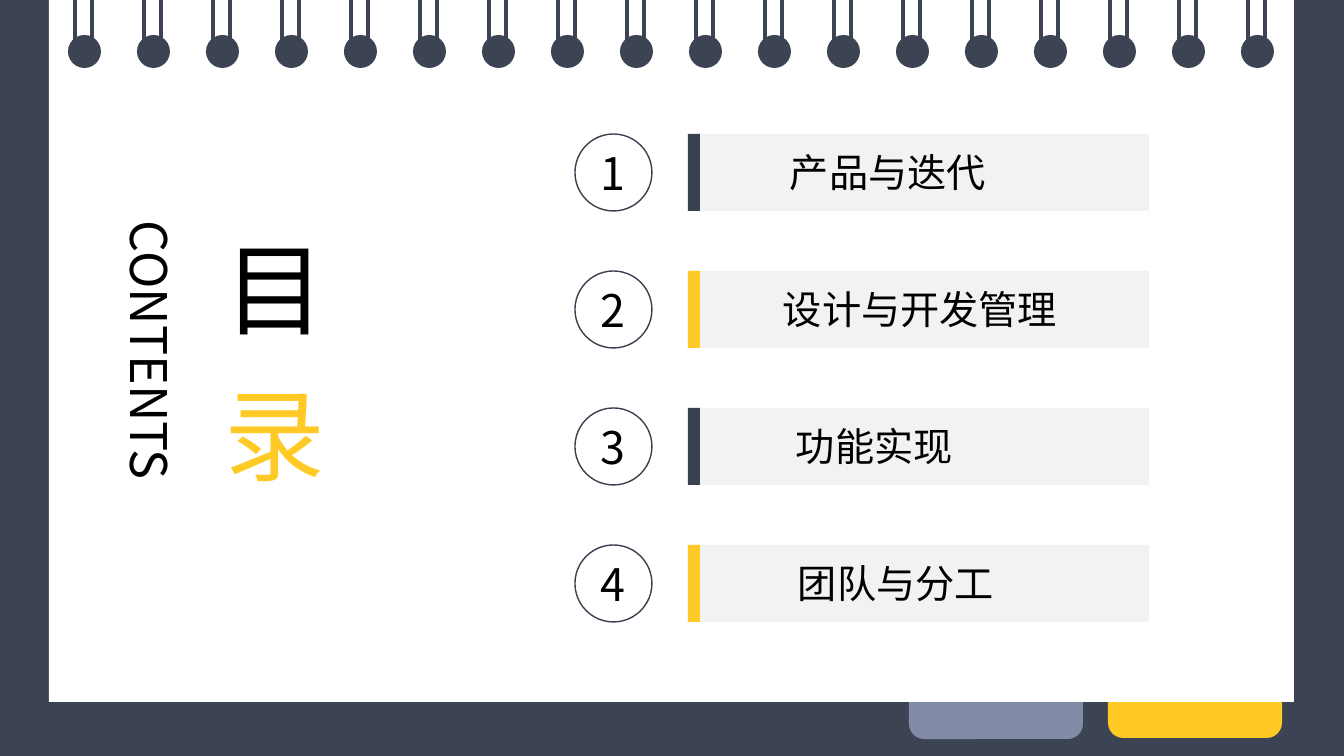
"""Build the notebook-style contents slide."""
from lxml import etree
from pptx import Presentation
from pptx import util as u
from pptx.dml import color
from pptx.enum import shapes, text
from pptx.oxml import ns

TITLE = [("目", 222, "black"), ("录", 368, "yellow")]
SUBTITLE = "CONTENTS"
MENU = [
    ("产品与迭代", 780, 276, "cjk", "slate"),
    ("设计与开发管理", 773, 306, "arial", "yellow"),
    ("功能实现", 786, 276, "arial", "slate"),
    ("团队与分工", 788, 276, "arial", "yellow"),
]
TABS = [(1108, 647, "yellow"), (909, 648, "blue")]
RING_COUNT, RING_LEFT, RING_STEP = 18, 68, 69
MENU_TOP, MENU_STEP, MENU_HEIGHT = 134, 137, 77

THEME = {
    "navy": "3C4353", "slate": "39404F", "yellow": "FFCA25", "blue": "818BA5",
    "white": "FFFFFF", "gray": "F2F2F2", "black": "000000",
    "cjk": "Noto Sans CJK SC", "title_font": "Noto Sans CJK JP", "arial": "Arial",
    "title": 72, "subtitle": 36, "number": 32, "item": 28, "wire": 2.5, "outline": 1,
}
SCALE = 914400 / 100.8
KIND = shapes.MSO_SHAPE
ALIGN = text.PP_ALIGN


def px(*lengths):
    return [u.Emu(round(length * SCALE)) for length in lengths]


def rgb(name):
    return color.RGBColor.from_string(THEME[name])


def apply(target, values):
    for name, value in values.items():
        setattr(target, name, value)


def add_block(parent, kind, box, fill=None, line=None):
    shape = parent.add_shape(kind, *px(*box))
    shape.shadow.inherit = False
    if fill:
        shape.fill.solid()
        shape.fill.fore_color.rgb = rgb(fill)
    else:
        shape.fill.background()
    if line:
        shape.line.color.rgb = rgb(line)
        shape.line.width = u.Pt(THEME["outline"])
    else:
        shape.line.fill.background()
    return shape


def write(shape, words, size, font, align, ink="black"):
    paragraph = shape.text_frame.paragraphs[0]
    paragraph.alignment = align
    run = paragraph.add_run()
    run.text = words
    apply(run.font, {"size": u.Pt(THEME[size]), "name": THEME[font]})
    run.font.color.rgb = rgb(ink)
    east_asian = "cjk" if font == "arial" else font
    etree.SubElement(run.font._element, ns.qn("a:ea"), typeface=THEME[east_asian])


def add_label(parent, box, words, size, font, align, ink="black"):
    label = parent.add_textbox(*px(*box))
    apply(label.text_frame, {"word_wrap": True, "auto_size": text.MSO_AUTO_SIZE.SHAPE_TO_FIT_TEXT})
    write(label, words, size, font, align, ink)
    return label


def add_wire(parent, x):
    wire = parent.add_connector(shapes.MSO_CONNECTOR.STRAIGHT, *px(x, -2, x, 51))
    wire.line.color.rgb = rgb("navy")
    wire.line.width = u.Pt(THEME["wire"])
    etree.SubElement(wire._element.spPr, ns.qn("a:effectLst"))


def add_notebook(slide):
    add_block(slide.shapes, KIND.RECTANGLE, (0, 0, 1344, 756), "navy")
    for left, top, fill in TABS:
        add_block(slide.shapes, KIND.ROUNDED_RECTANGLE, (left, top, 174, 91), fill)
    notebook = slide.shapes.add_group_shape().shapes
    add_block(notebook, KIND.RECTANGLE, (49, 0, 1245, 702), "white")
    for index in range(RING_COUNT):
        left = RING_LEFT + index * RING_STEP
        add_block(notebook, KIND.OVAL, (left, 35, 33, 33), "navy")
        for offset in (7, 24):
            add_wire(notebook, left + offset)


def add_heading(slide):
    subtitle = add_label(slide.shapes, (104, 211, 82, 316), SUBTITLE,
                         "subtitle", "title_font", ALIGN.JUSTIFY)
    subtitle.text_frame._txBody.bodyPr.set("vert", "eaVert")
    for character, top, ink in TITLE:
        add_label(slide.shapes, (206, top, 138, 132), character,
                  "title", "title_font", ALIGN.CENTER, ink)


def add_menu(slide):
    for index, (words, left, width, font, accent) in enumerate(MENU):
        top = MENU_TOP + index * MENU_STEP
        circle = add_block(slide.shapes, KIND.OVAL, (575, top, 77, MENU_HEIGHT), line="slate")
        circle.text_frame.vertical_anchor = text.MSO_ANCHOR.MIDDLE
        write(circle, str(index + 1), "number", "cjk", ALIGN.CENTER)
        row = slide.shapes.add_group_shape().shapes
        add_block(row, KIND.RECTANGLE, (688, top, 461, MENU_HEIGHT), "gray")
        add_block(row, KIND.RECTANGLE, (688, top, 12, MENU_HEIGHT), accent)
        add_label(row, (left, top + 9, width, 57), words, "item", font, ALIGN.JUSTIFY)


def main():
    presentation = Presentation()
    width, height = px(1344, 756)
    apply(presentation, {"slide_width": width, "slide_height": height})
    slide = presentation.slides.add_slide(presentation.slide_layouts[6])
    add_notebook(slide)
    add_heading(slide)
    add_menu(slide)
    presentation.save("out.pptx")


if __name__ == "__main__":
    main()
